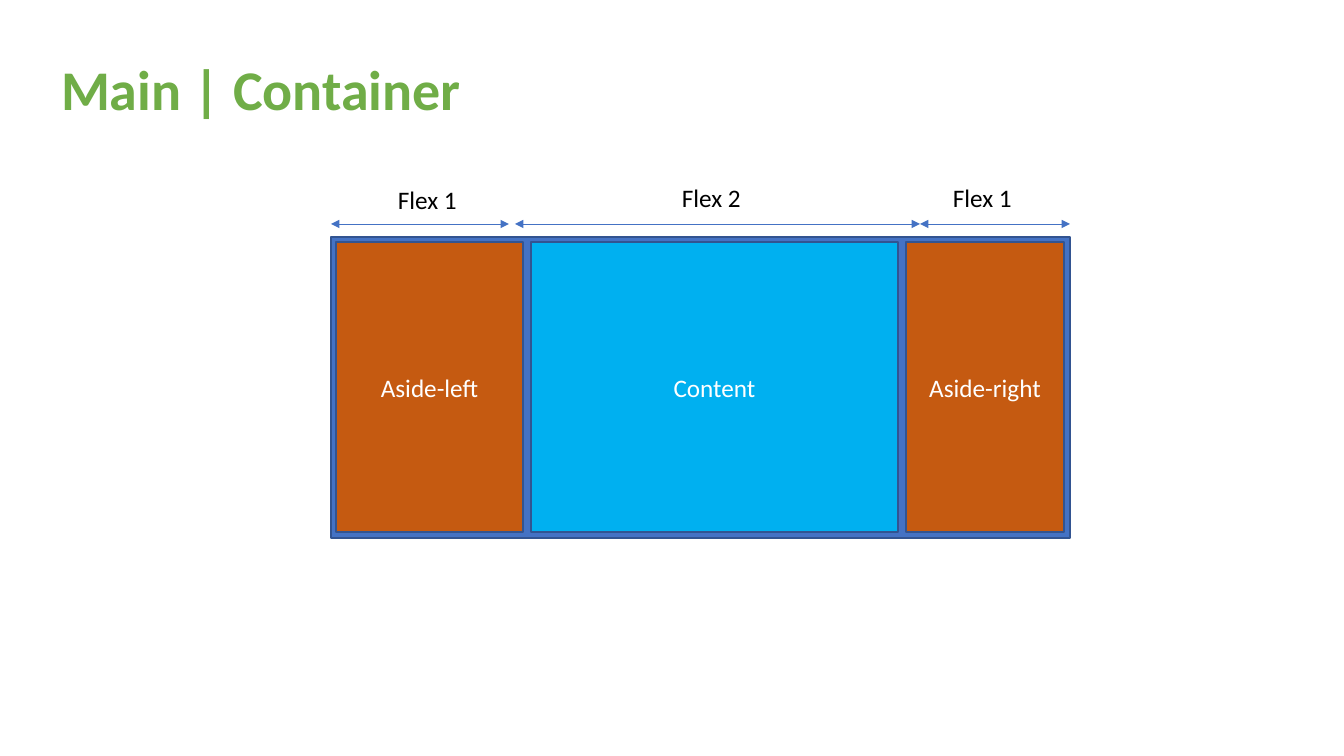
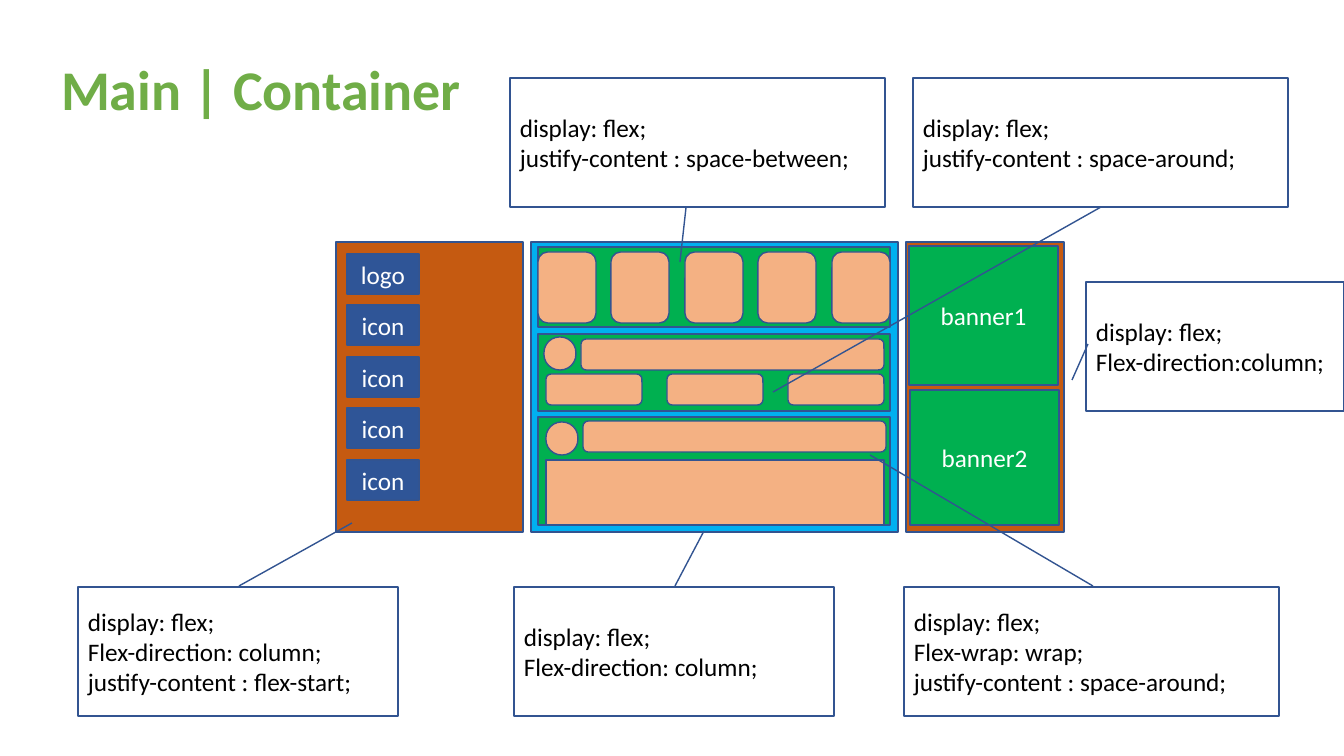
from pptx import Presentation, util as u
from pptx.dml.color import RGBColor
from pptx.enum import shapes, text
from pptx.oxml import ns, xmlchemy

PX = 914400 / 100.8
FONT = "Calibri"
WHITE = RGBColor(0xFF, 0xFF, 0xFF)
BLACK = RGBColor(0x00, 0x00, 0x00)
TITLE_GREEN = RGBColor(0x70, 0xAD, 0x47)
BLUE = RGBColor(0x44, 0x72, 0xC4)
OUTLINE = RGBColor(0x32, 0x54, 0x91)
NAVY = RGBColor(0x2F, 0x55, 0x97)
SKY = RGBColor(0x00, 0xB0, 0xF0)
RUST = RGBColor(0xC5, 0x5A, 0x11)
GREEN = RGBColor(0x00, 0xB0, 0x50)
PEACH = RGBColor(0xF4, 0xB1, 0x83)

RECT = shapes.MSO_SHAPE.RECTANGLE
ROUND = shapes.MSO_SHAPE.ROUNDED_RECTANGLE
CALLOUT = shapes.MSO_SHAPE.LINE_CALLOUT_1
LEFT, CENTER = text.PP_ALIGN.LEFT, text.PP_ALIGN.CENTER

ASIDE_LEFT = (336, 242, 187, 290)
CONTENT = (531, 242, 367, 290)
ASIDE_RIGHT = (906, 242, 158, 290)


def emu(*pixels):
    return [u.Emu(round(n * PX)) for n in pixels]


def write(tf, lines, color, align=LEFT, size=18, bold=False):
    for i, line in enumerate(lines):
        p = tf.add_paragraph() if i else tf.paragraphs[0]
        p.alignment = align
        r = p.add_run()
        r.text = line
        r.font.name, r.font.size, r.font.bold = FONT, u.Pt(size), bold
        r.font.color.rgb = color


def add_box(s, box, fill=None, lines=(), kind=RECT, color=WHITE, align=CENTER):
    sp = s.shapes.add_shape(kind, *emu(*box))
    sp.shadow.inherit = False
    if fill is None:
        sp.fill.background()
    else:
        sp.fill.solid()
        sp.fill.fore_color.rgb = fill
    sp.line.color.rgb = OUTLINE
    sp.line.width = u.Pt(1)
    sp.text_frame.vertical_anchor = text.MSO_ANCHOR.MIDDLE
    write(sp.text_frame, lines, color, align)
    return sp


def add_callout(s, box, start, end, lines):
    x, y, w, h = box
    sp = add_box(s, box, None, lines, CALLOUT, BLACK, LEFT)
    ends = [((py - y) / h, (px - x) / w) for px, py in (start, end)]
    for i, value in enumerate(ends[0] + ends[1]):
        sp.adjustments[i] = value


def add_span(s, x1, x2, y):
    line = s.shapes.add_connector(shapes.MSO_CONNECTOR.STRAIGHT, *emu(x1, y, x2, y))
    line.line.color.rgb = BLUE
    line.line.width = u.Pt(0.5)
    ln = line.line._get_or_add_ln()
    for tag in ("a:headEnd", "a:tailEnd"):
        end = xmlchemy.OxmlElement(tag)
        end.set("type", "triangle")
        ln.append(end)
    line._element.spPr.append(xmlchemy.OxmlElement("a:effectLst"))


def add_label(s, x, y, label):
    tf = s.shapes.add_textbox(*emu(x, y, 84, 40)).text_frame
    tf.word_wrap = True
    write(tf, [label], BLACK)


def add_slide(prs):
    s = prs.slides.add_slide(prs.slide_layouts[5])
    title = s.shapes.title
    title.left, title.top, title.width, title.height = emu(51, 49, 456, 78)
    title.text_frame.vertical_anchor = text.MSO_ANCHOR.TOP
    write(title.text_frame, ["Main | Container"], TITLE_GREEN, size=40, bold=True)
    return s


def add_columns(s, labels=((), (), ())):
    for box, fill, lines in zip((ASIDE_LEFT, CONTENT, ASIDE_RIGHT), (RUST, SKY, RUST), labels):
        add_box(s, box, fill, lines)


def add_menu(s, box):
    x, y, w, h = box
    for i, label in enumerate(["logo"] + ["icon"] * 4):
        add_box(s, (x + 11, y + 12 + 206 * i // 4, 72, 40), NAVY, [label])


def add_stories(s, box, count=5, card=58):
    x, y, w, h = box
    add_box(s, box, GREEN)
    for i in range(count):
        left = x + (w - card) * i // (count - 1)
        add_box(s, (left, y + 5, card, 71), PEACH, kind=ROUND)


def add_author(s, x, avatar_y, bar_y):
    avatar = add_box(s, (x, avatar_y, 32, 33), PEACH, kind=ROUND)
    avatar.adjustments[0] = 0.49
    add_box(s, (x + 37, bar_y, 303, 31), PEACH, kind=ROUND)


def add_composer(s, box):
    x, y, w, h = box
    add_box(s, box, GREEN)
    add_author(s, x + 6, y + 3, y + 5)
    for i in range(3):
        add_box(s, (x + 8 + 121 * i, y + 40, 96, 31), PEACH, kind=ROUND)


def add_post(s, box):
    x, y, w, h = box
    add_box(s, box, GREEN)
    add_author(s, x + 8, y + 5, y + 4)
    add_box(s, (x + 8, y + 43, 338, h - 43), PEACH)


def add_content(s, box):
    x, y, w, h = box
    for draw, top, height in ((add_stories, 5, 80), (add_composer, 92, 77), (add_post, 175, 108)):
        draw(s, (x + 7, y + top, w - 15, height))


def add_banners(s, box):
    x, y, w, h = box
    add_box(s, (x + 3, y + 4, 149, 139), GREEN, ["banner1"])
    add_box(s, (x + 4, y + 148, 149, 135), GREEN, ["banner2"])


def layout_slide(prs):
    s = add_slide(prs)
    add_box(s, (331, 237, 739, 301), BLUE)
    add_columns(s, (["Aside-left"], ["Content"], ["Aside-right"]))
    for x1, x2, label_x, label_y, label in (
        (331, 509, 388, 179, "Flex 1"),
        (515, 920, 672, 177, "Flex 2"),
        (920, 1070, 943, 177, "Flex 1"),
    ):
        add_span(s, x1, x2, 224)
        add_label(s, label_x, label_y, label)


def detail_slide(prs):
    s = add_slide(prs)
    add_columns(s)
    add_menu(s, ASIDE_LEFT)
    add_content(s, CONTENT)
    add_banners(s, ASIDE_RIGHT)
    for x, y, w, start, end, rules in (
        (78, 587, 320, (239, 586), (352, 523),
         ["Flex-direction: column;", "justify-content : flex-start;"]),
        (514, 587, 320, (675, 586), (704, 531), ["Flex-direction: column;"]),
        (510, 78, 375, (686, 208), (680, 262), ["justify-content : space-between;"]),
        (913, 78, 375, (1101, 207), (773, 392), ["justify-content : space-around;"]),
        (904, 587, 375, (1093, 586), (870, 455),
         ["Flex-wrap: wrap;", "justify-content : space-around;"]),
        (1086, 282, 258, (1088, 344), (1072, 380), ["Flex-direction:column;"]),
    ):
        add_callout(s, (x, y, w, 129), start, end, ["display: flex;"] + rules)


prs = Presentation()
prs.slide_width, prs.slide_height = emu(1344, 756)
layout_slide(prs)
detail_slide(prs)
prs.save("out.pptx")
